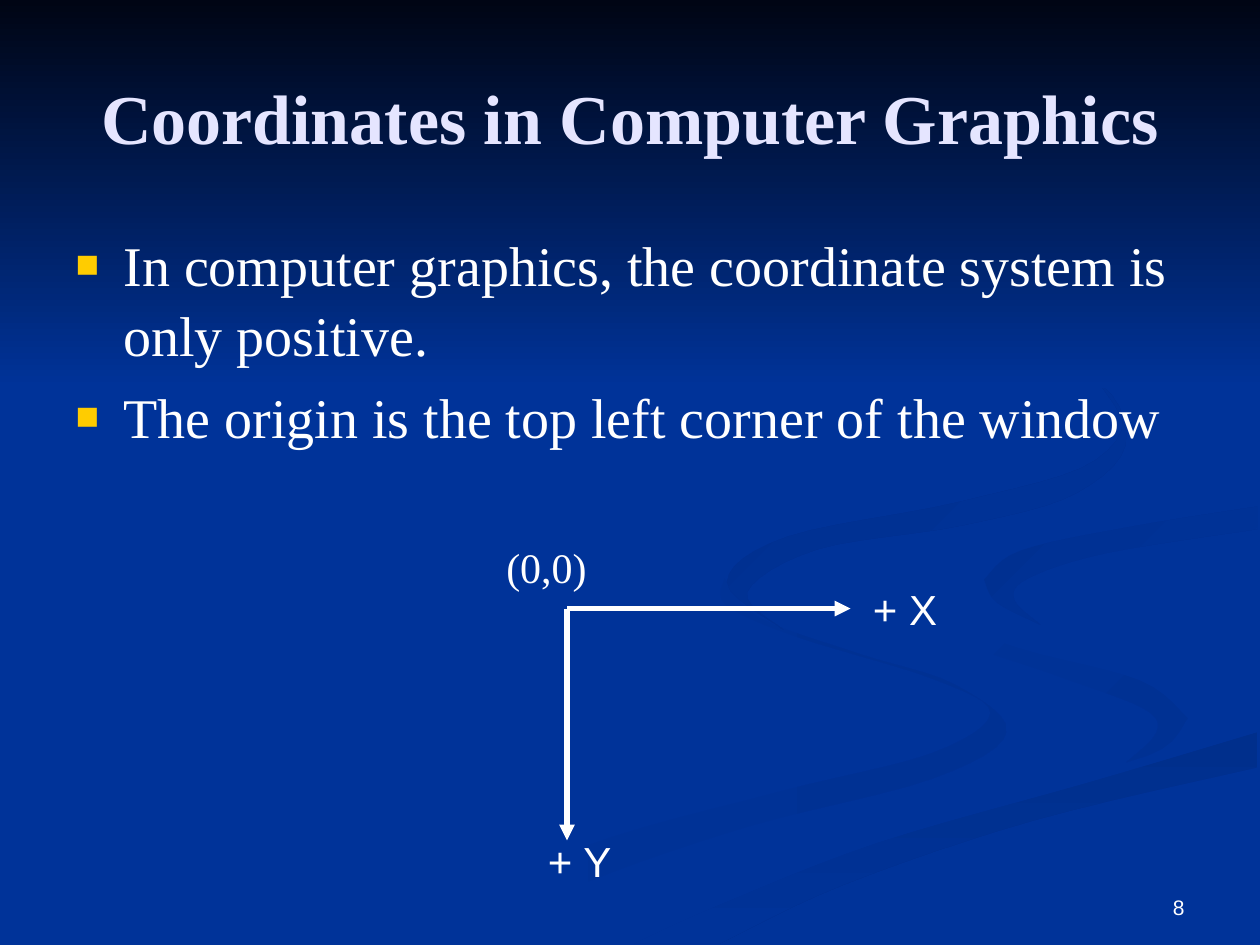
from lxml import etree
from pptx import Presentation
from pptx.dml.color import RGBColor
from pptx.enum.shapes import MSO_CONNECTOR
from pptx.enum.text import MSO_ANCHOR, MSO_AUTO_SIZE, PP_ALIGN
from pptx.oxml.ns import qn
from pptx.util import Inches, Pt

STRAIGHT = MSO_CONNECTOR.STRAIGHT
TOP, MIDDLE, BOTTOM = MSO_ANCHOR.TOP, MSO_ANCHOR.MIDDLE, MSO_ANCHOR.BOTTOM
LEFT, CENTER, RIGHT = PP_ALIGN.LEFT, PP_ALIGN.CENTER, PP_ALIGN.RIGHT
NO_FIT = MSO_AUTO_SIZE.NONE

BLUE = RGBColor.from_string("003399")
NIGHT = RGBColor.from_string("000514")
SHADE = RGBColor.from_string("003193")
DEEP_SHADE = RGBColor.from_string("002F8C")
LIGHT_SHADE = RGBColor.from_string("003091")
TOP_SHADE = RGBColor.from_string("002F8E")
LAVENDER = RGBColor.from_string("E5E5FF")
WHITE = RGBColor.from_string("FFFFFF")
GOLD = RGBColor.from_string("FFCC00")
SERIF, SANS = "Times New Roman", "Arial"

TITLE = "Coordinates in Computer Graphics"
POINTS = [
    "In computer graphics, the coordinate system is only positive.",
    "The origin is the top left corner of the window",
]
PAGE_NUMBER = "8"
ORIGIN = (4.5, 4.83)
AXIS_ENDS = [(6.75, 4.83), (4.5, 6.67)]
LABELS = [
    ("(0,0)", 3.92, 4.25, SERIF),
    ("+ X", 6.83, 4.58, SANS),
    ("+ Y", 4.25, 6.58, SANS),
]

CURL_EDGE = [(7.24, 4.64), (7.45, 4.9), (8.11, 5.15), (9.05, 5.4), (9.43, 5.7)]
BAND_EDGE = [(5.03, 7.49), (5.69, 7.19), (6.96, 6.69), (8.67, 6.2), (9.98, 5.81)]
HOOK_EDGE = [(7.81, 4.6), (8.1, 4.37), (8.98, 4.18), (9.98, 4.02)]

LEFT_RIBBON = [
    [(5.75, 4.59), (6.02, 4.9), (6.82, 5.19), (7.57, 5.43), (7.99, 5.81),
     (7.4, 6.18), (5.94, 6.56), (4.66, 7), (3.61, 7.49)],
    [(3, 7.49), (4.58, 6.74), (6.16, 6.29), (7.39, 5.98), (7.86, 5.66),
     (7.41, 5.39), (6.31, 5.05), (5.76, 4.8), (5.75, 4.59)],
]
RIGHT_CURL = [
    CURL_EDGE,
    [(9.43, 5.7), (9.25, 5.93), (8.94, 6.05)],
    [(8.94, 6.05), (9.18, 5.81), (9.07, 5.62), (8.38, 5.36), (7.55, 5.05), (7.24, 4.64)],
]
LOWER_BAND = [BAND_EDGE, [(9.98, 6.09), (8.21, 6.51), (6.7, 7.02), (5.71, 7.49)]]
RIGHT_RIBBON = [
    CURL_EDGE,
    [(9.43, 5.7), (9.11, 6), (7.8, 6.34), (6.19, 6.84), (4.77, 7.49)],
    BAND_EDGE,
    [(9.98, 5.38), (8.66, 5.09), (7.94, 4.8), (7.81, 4.6)],
    HOOK_EDGE,
    [(9.98, 3.87), (8.3, 4.15), (7.42, 4.39), (7.24, 4.64)],
]
RIGHT_HOOK = [
    HOOK_EDGE,
    [(9.98, 4.2), (8.78, 4.39), (8.16, 4.59), (8.05, 4.76), (8.26, 4.96)],
    [(8.26, 4.96), (7.91, 4.78), (7.81, 4.6)],
]
UPPER_RIBBON = [
    [(7.62, 2.33), (8.43, 2.75), (8.94, 3.44), (8.55, 3.91), (7.64, 4.17),
     (6.49, 4.36), (5.93, 4.7), (6.22, 5)],
    [(6.22, 5), (5.77, 4.62), (6.25, 4.26), (7.63, 3.98), (8.7, 3.65),
     (8.82, 3.13), (7.62, 2.33)],
]
NIGHT_SKY = [[(0, 0), (10, 0)], [(10, 3.08), (0, 3.08)]]
BACKDROP = [
    (LEFT_RIBBON, BLUE, SHADE, 0),
    (RIGHT_CURL, BLUE, SHADE, 45),
    (LOWER_BAND, DEEP_SHADE, BLUE, 90),
    (RIGHT_RIBBON, BLUE, BLUE, 0),
    (RIGHT_HOOK, LIGHT_SHADE, BLUE, 45),
    (UPPER_RIBBON, TOP_SHADE, BLUE, 45),
    (NIGHT_SKY, NIGHT, BLUE, 90),
]
CURVE_STEPS = 6


def spline(a, b, c, d, t):
    return b + t / 2 * (c - a + t * (2 * a - 5 * b + 4 * c - d + t * (3 * (b - c) + d - a)))


def smooth_edge(knots):
    padded = [knots[0], *knots, knots[-1]]
    curve = [knots[0]]
    for group in zip(padded, padded[1:], padded[2:], padded[3:]):
        for step in range(1, CURVE_STEPS + 1):
            curve.append(tuple(spline(*axis, step / CURVE_STEPS) for axis in zip(*group)))
    return curve


def draw_backdrop(slide, edges, start, end, angle):
    corners = [(Inches(x), Inches(y)) for edge in edges for x, y in smooth_edge(edge)]
    builder = slide.shapes.build_freeform(*corners[0])
    builder.add_line_segments(corners[1:], close=True)
    ribbon = builder.convert_to_shape()
    ribbon.shadow.inherit = False
    ribbon.line.fill.background()
    if start == end:
        ribbon.fill.solid()
        ribbon.fill.fore_color.rgb = start
        return
    ribbon.fill.gradient()
    ribbon.fill.gradient_angle = -angle % 360
    for stop, color in zip(ribbon.fill.gradient_stops, (start, end)):
        stop.color.rgb = color


def write(holder, box, lines, size, font, color, align=LEFT, anchor=TOP, bold=False):
    holder.left, holder.top, holder.width, holder.height = map(Inches, box)
    frame = holder.text_frame
    frame.word_wrap, frame.auto_size, frame.vertical_anchor = True, NO_FIT, anchor
    for index, line in enumerate(lines):
        paragraph = frame.add_paragraph() if index else frame.paragraphs[0]
        paragraph.alignment = align
        run = paragraph.add_run()
        run.text = line
        run.font.name, run.font.size, run.font.bold = font, Pt(size), bold
        run.font.color.rgb = color


def add_bullet(paragraph):
    paragraph.space_before, paragraph.line_spacing = Pt(6.4), 1.05
    props = paragraph._p.get_or_add_pPr()
    props.set("marL", str(Inches(0.38)))
    props.set("indent", str(Inches(-0.38)))
    tint = etree.SubElement(props, qn("a:buClr"))
    etree.SubElement(tint, qn("a:srgbClr"), val=str(GOLD))
    etree.SubElement(props, qn("a:buSzPct"), val="70000")
    etree.SubElement(props, qn("a:buChar"), char="■")


def draw_axis(slide, end):
    axis = slide.shapes.add_connector(STRAIGHT, *map(Inches, ORIGIN + end))
    axis.line.color.rgb, axis.line.width = WHITE, Pt(3)
    etree.SubElement(axis.line._get_or_add_ln(), qn("a:tailEnd"), type="triangle")
    etree.SubElement(axis._element.spPr, qn("a:effectLst"))


def main():
    deck = Presentation()
    deck.slide_width, deck.slide_height = Inches(10), Inches(7.5)
    slide = deck.slides.add_slide(deck.slide_layouts[1])
    slide.background.fill.solid()
    slide.background.fill.fore_color.rgb = BLUE
    for piece in BACKDROP:
        draw_backdrop(slide, *piece)

    title, body = slide.placeholders
    for holder in (title, body):
        holder.element.getparent().append(holder.element)
    write(title, (0.5, 0.3, 9, 1.25), [TITLE], 40, SERIF, LAVENDER, CENTER, MIDDLE, True)
    write(body, (0.5, 1.75, 9, 4.95), POINTS, 32, SERIF, WHITE)
    for paragraph in body.text_frame.paragraphs:
        add_bullet(paragraph)

    for end in AXIS_ENDS:
        draw_axis(slide, end)
    for label, x, y, font in LABELS:
        write(slide.shapes.add_textbox(0, 0, 0, 0), (x, y, 1.17, 0.5), [label], 24, font, WHITE)
    write(slide.shapes.add_textbox(0, 0, 0, 0), (7.17, 6.83, 2.33, 0.52), [PAGE_NUMBER],
          12, SANS, WHITE, RIGHT, BOTTOM)
    deck.save("out.pptx")


if __name__ == "__main__":
    main()
